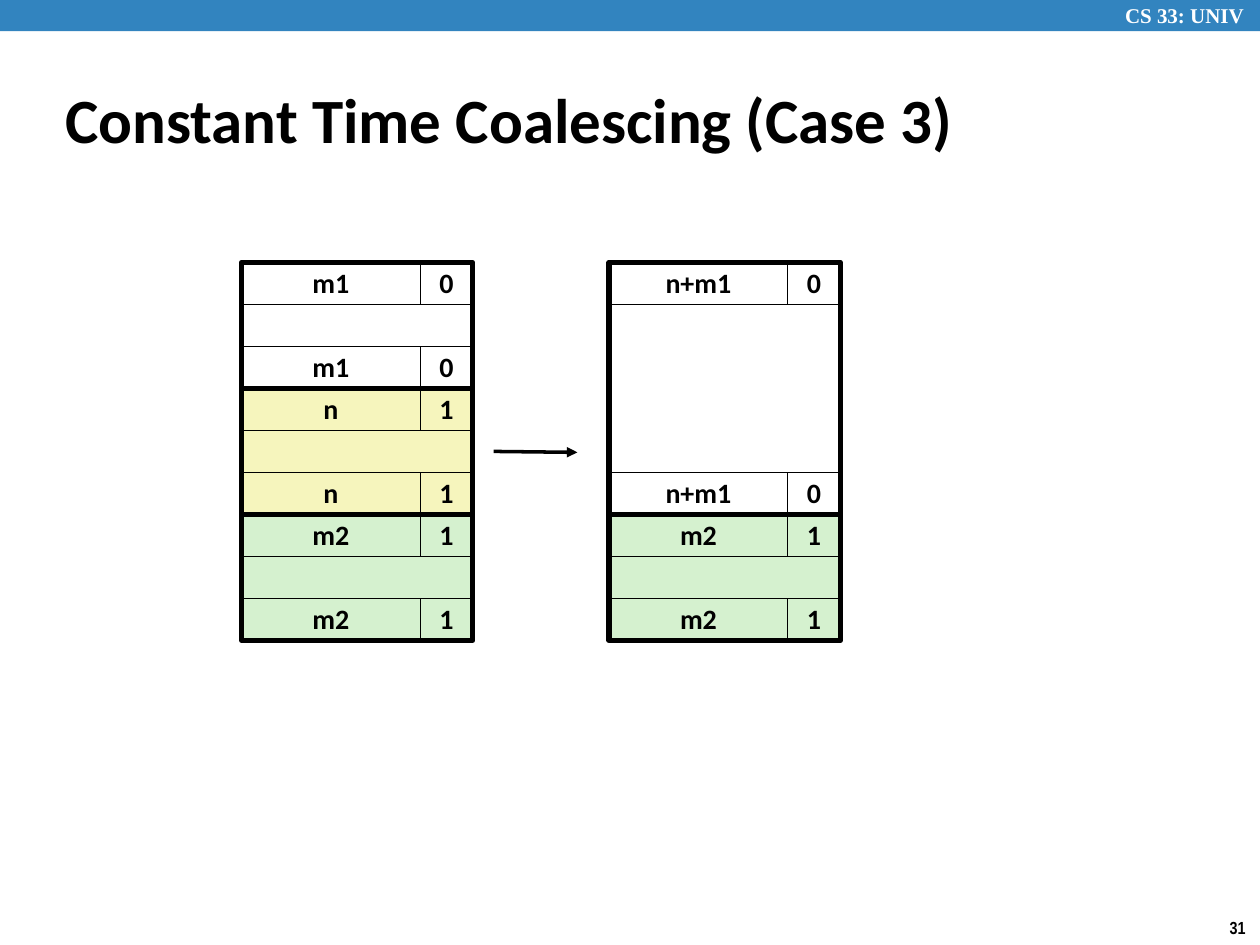
from lxml import etree
from pptx import Presentation
from pptx import util as u
from pptx.dml.color import RGBColor
from pptx.enum import shapes, text
from pptx.oxml.ns import qn

BLACK = RGBColor(0x00, 0x00, 0x00)
WHITE = RGBColor(0xFF, 0xFF, 0xFF)
BANNER_BLUE = RGBColor(0x32, 0x84, 0xBF)
YELLOW = RGBColor(0xF6, 0xF5, 0xBD)
GREEN = RGBColor(0xD5, 0xF1, 0xCF)

ROW = 2.54 / 3
SIZE_WIDTH = 3.6
FLAG_WIDTH = 1.06
BLOCK_WIDTH = SIZE_WIDTH + FLAG_WIDTH
HEAP_TOP = 5.29

TITLE_FONT = {"name": "Calibri", "size": u.Pt(36), "bold": True}
TAG_FONT = {"name": "Calibri", "size": u.Pt(16), "bold": True}
COURSE_FONT = {"name": "Times New Roman", "size": u.Pt(12), "bold": True}
NUMBER_FONT = {"name": "Arial Narrow", "size": u.Pt(10), "bold": True}

BEFORE = [("m1", "0", 1, WHITE), ("n", "1", 1, YELLOW), ("m2", "1", 1, GREEN)]
AFTER = [("n+m1", "0", 4, WHITE), ("m2", "1", 1, GREEN)]


def write(frame, words, font, color=BLACK, align=text.PP_ALIGN.LEFT, wrap=True):
    """Put one formatted line of words into a text frame."""
    frame.text = words
    frame.word_wrap = wrap
    line = frame.paragraphs[0]
    line.alignment = align
    for name, value in font.items():
        setattr(line.runs[0].font, name, value)
    line.runs[0].font.color.rgb = color


def add_box(slide, left, top, width, height, fill=None, weight=None):
    """Add a rectangle with an optional fill and black outline."""
    box = slide.shapes.add_shape(
        shapes.MSO_SHAPE.RECTANGLE, *map(u.Cm, (left, top, width, height)))
    box.shadow.inherit = False
    if fill is None:
        box.fill.background()
    else:
        box.fill.solid()
        box.fill.fore_color.rgb = fill
    if weight is None:
        box.line.fill.background()
    else:
        box.line.color.rgb = BLACK
        box.line.width = u.Pt(weight)
    return box


def add_label(slide, left, top, width, height, words, font, color, wrap):
    """Add a free-standing text label."""
    label = slide.shapes.add_textbox(*map(u.Cm, (left, top, width, height)))
    write(label.text_frame, words, font, color, wrap=wrap)


def add_tag(slide, left, top, size, flag, fill):
    """Add a boundary tag: a size cell and its allocated flag."""
    cells = ((left, SIZE_WIDTH, size), (left + SIZE_WIDTH, FLAG_WIDTH, flag))
    for cell_left, width, words in cells:
        cell = add_box(slide, cell_left, top, width, ROW, fill, 0.25)
        frame = cell.text_frame
        frame.vertical_anchor = text.MSO_ANCHOR.MIDDLE
        write(frame, words, TAG_FONT, align=text.PP_ALIGN.CENTER, wrap=False)
        frame.paragraphs[0].line_spacing = 0.98


def add_heap(slide, left, blocks):
    """Stack blocks of header, payload and footer from the top down."""
    top = HEAP_TOP
    for size, flag, payload_rows, fill in blocks:
        payload = payload_rows * ROW
        height = payload + 2 * ROW
        add_tag(slide, left, top, size, flag, fill)
        add_box(slide, left, top + ROW, BLOCK_WIDTH, payload, fill, 0.25)
        add_tag(slide, left, top + ROW + payload, size, flag, fill)
        add_box(slide, left, top, BLOCK_WIDTH, height, weight=3)
        top += height


def add_arrow(slide, start, end):
    """Add a black line with a triangular head at its end."""
    arrow = slide.shapes.add_connector(
        shapes.MSO_CONNECTOR.STRAIGHT, *map(u.Cm, start + end))
    arrow.line.color.rgb = BLACK
    arrow.line.width = u.Pt(2)
    etree.SubElement(arrow.line._get_or_add_ln(), qn("a:tailEnd"), type="triangle")
    etree.SubElement(arrow._element.spPr, qn("a:effectLst"))


def set_title(slide, words):
    """Place and format the slide title."""
    title = slide.shapes.title
    title.left, title.top = u.Cm(1.06), u.Cm(1.58)
    title.width, title.height = u.Cm(23.28), u.Cm(1.6)
    title.text_frame.vertical_anchor = text.MSO_ANCHOR.MIDDLE
    title.text_frame.auto_size = text.MSO_AUTO_SIZE.NONE
    write(title.text_frame, words, TITLE_FONT)


def main():
    """Build the coalescing slide and save it."""
    deck = Presentation()
    deck.slide_width, deck.slide_height = u.Cm(25.4), u.Cm(19.05)
    slide = deck.slides.add_slide(deck.slide_layouts[5])
    add_box(slide, 0, 0, 25.4, 0.63, BANNER_BLUE)
    add_label(slide, 22.43, -0.08, 3.15, 0.77, "CS 33: UNIV", COURSE_FONT, WHITE, True)
    add_label(slide, 24.54, 18.36, 0.86, 0.69, "31", NUMBER_FONT, BLACK, False)
    set_title(slide, "Constant Time Coalescing (Case 3)")
    add_heap(slide, 4.87, BEFORE)
    add_arrow(slide, (9.95, 9.1), (11.64, 9.12))
    add_heap(slide, 12.28, AFTER)
    deck.save("out.pptx")


if __name__ == "__main__":
    main()
